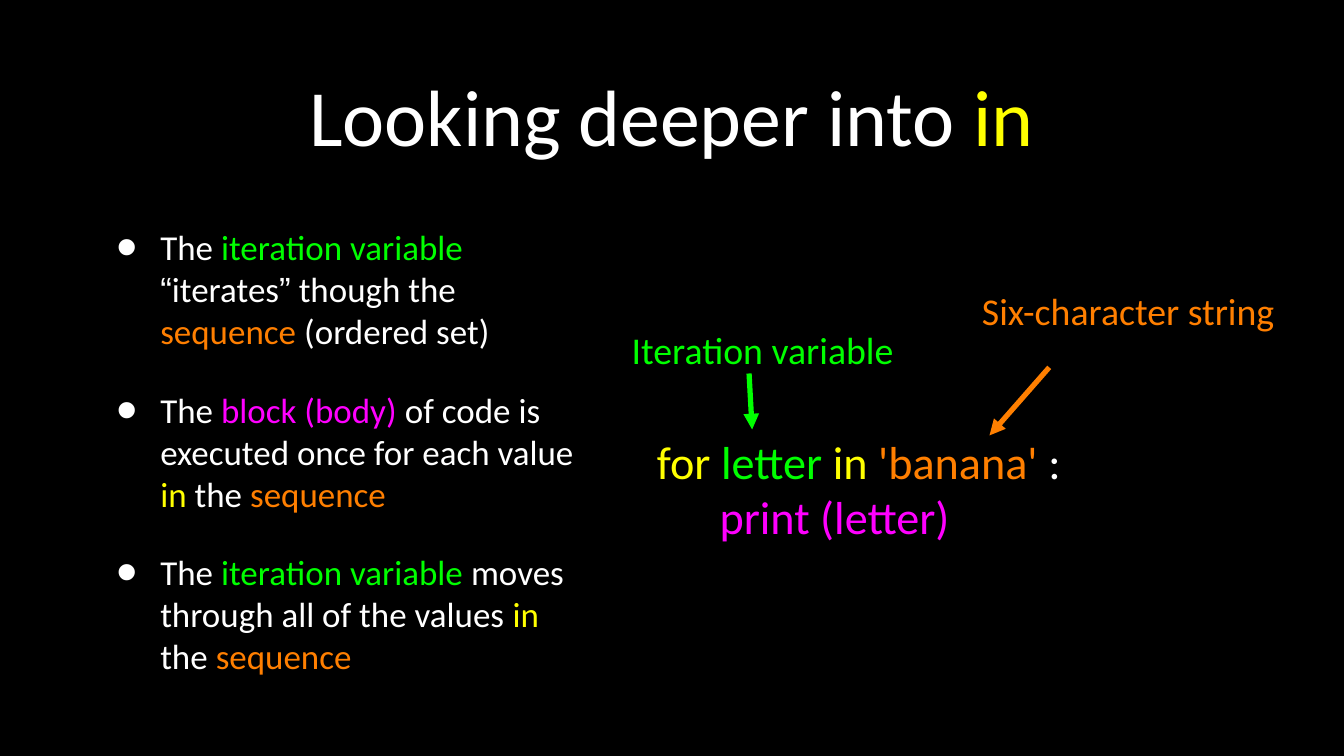
"""Build a slide on how the in keyword drives a for loop."""
from typing import NamedTuple

from lxml import etree
from pptx import Presentation
from pptx.dml.color import RGBColor
from pptx.enum.shapes import MSO_CONNECTOR
from pptx.enum.text import MSO_ANCHOR, MSO_AUTO_SIZE, PP_ALIGN
from pptx.oxml.ns import qn
from pptx.util import Pt

STRAIGHT = MSO_CONNECTOR.STRAIGHT
MIDDLE = MSO_ANCHOR.MIDDLE
NO_FIT = MSO_AUTO_SIZE.NONE
LEFT, CENTER = PP_ALIGN.LEFT, PP_ALIGN.CENTER

COLORS = {
    "background": "000000",
    "plain": "FFFFFF",
    "keyword": "FFFF00",
    "variable": "00FF00",
    "sequence": "FF7F00",
    "block": "FF00FF",
}


class Span(NamedTuple):
    text: str
    color: str = "plain"
    font: str = "Calibri"


class TextBlock(NamedTuple):
    frame: tuple[float, float, float, float]
    size: float
    paragraphs: list[list[Span]]
    align: PP_ALIGN = LEFT
    inset: float = 0
    bulleted: bool = False
    gap: float = 0


class Arrow(NamedTuple):
    start: tuple[float, float]
    tip: tuple[float, float]
    color: str


TITLE = TextBlock(
    (90.7, 18.7, 1097.3, 180.7), 76,
    [[Span("Looking deeper into "), Span("in", "keyword")]],
    align=CENTER, inset=3,
)

BLOCKS = [
    TextBlock(
        (90.7, 205.2, 470.9, 449.3), 33.3,
        [
            [Span("The "), Span("iteration variable ", "variable"),
             Span("“", font="Arial"), Span("iterates"), Span("”", font="Arial"),
             Span(" though the "), Span("sequence ", "sequence"), Span("(ordered set)")],
            [Span("The "), Span("block (body)", "block"),
             Span(" of code is executed once for each value "),
             Span("in", "keyword"), Span(" the "), Span("sequence", "sequence")],
            [Span("The "), Span("iteration variable ", "variable"),
             Span("moves through all of the values "),
             Span("in", "keyword"), Span(" the "), Span("sequence", "sequence")],
        ],
        inset=3, bulleted=True, gap=35,
    ),
    TextBlock(
        (625.7, 412.6, 442.8, 105.8), 44,
        [
            [Span("for ", "keyword"), Span("letter ", "variable"), Span("in ", "keyword"),
             Span("'banana' ", "sequence"), Span(":")],
            [Span("      print (letter)", "block")],
        ],
    ),
    TextBlock((581, 311, 290.9, 43.2), 36,
              [[Span("Iteration variable", "variable")]], align=CENTER),
    TextBlock((889.9, 270.7, 369.4, 49), 36,
              [[Span("Six-character string", "sequence")]], align=CENTER),
]

ARROWS = [
    Arrow((713.5, 355.7), (716.4, 409), "variable"),
    Arrow((999.4, 349.9), (942.5, 414.7), "sequence"),
]


def add_span(para, text: str, *, color: str, font: str, size: float) -> None:
    """Append formatted text to a paragraph."""
    span = para.add_run()
    span.text = text
    span.font.name = font
    span.font.size = Pt(size)
    span.font.color.rgb = RGBColor.from_string(COLORS[color])


def add_bullet(para) -> None:
    """Give a paragraph a hanging, enlarged white bullet."""
    properties = para._p.get_or_add_pPr()
    properties.set("marL", str(Pt(59)))
    properties.set("indent", str(-Pt(41.8)))
    color = etree.SubElement(properties, qn("a:buClr"))
    etree.SubElement(color, qn("a:srgbClr"), val=COLORS["plain"])
    etree.SubElement(properties, qn("a:buSzPct"), val="171000")
    etree.SubElement(properties, qn("a:buFont"), typeface="Arial")
    etree.SubElement(properties, qn("a:buChar"), char="•")


def fill_box(box, block: TextBlock) -> None:
    """Place a box and write its paragraphs."""
    box.left, box.top, box.width, box.height = map(Pt, block.frame)
    frame = box.text_frame
    frame.word_wrap = True
    frame.auto_size = NO_FIT
    frame.vertical_anchor = MIDDLE
    frame.margin_left = frame.margin_right = Pt(block.inset)
    frame.margin_top = frame.margin_bottom = Pt(block.inset)
    for index, spans in enumerate(block.paragraphs):
        para = frame.add_paragraph() if index else frame.paragraphs[0]
        if block.bulleted:
            add_bullet(para)
        para.alignment = block.align
        para.space_before = Pt(block.gap if index else 0)
        for span in spans:
            add_span(para, span.text, color=span.color, font=span.font, size=block.size)


def add_arrow(page, arrow: Arrow) -> None:
    """Draw a straight arrow with a triangular tip."""
    connector = page.shapes.add_connector(
        STRAIGHT, *map(Pt, arrow.start), *map(Pt, arrow.tip))
    connector.line.width = Pt(5)
    connector.line.color.rgb = RGBColor.from_string(COLORS[arrow.color])
    etree.SubElement(connector.line._get_or_add_ln(), qn("a:tailEnd"), type="triangle")
    etree.SubElement(connector._element.spPr, qn("a:effectLst"))


def main() -> None:
    """Assemble and save the deck."""
    deck = Presentation()
    deck.slide_width, deck.slide_height = Pt(1280.16), Pt(720)
    page = deck.slides.add_slide(deck.slide_layouts[5])
    page.background.fill.solid()
    page.background.fill.fore_color.rgb = RGBColor.from_string(COLORS["background"])
    fill_box(page.shapes.title, TITLE)
    for block in BLOCKS:
        fill_box(page.shapes.add_textbox(*map(Pt, block.frame)), block)
    for arrow in ARROWS:
        add_arrow(page, arrow)
    deck.save("out.pptx")


if __name__ == "__main__":
    main()
